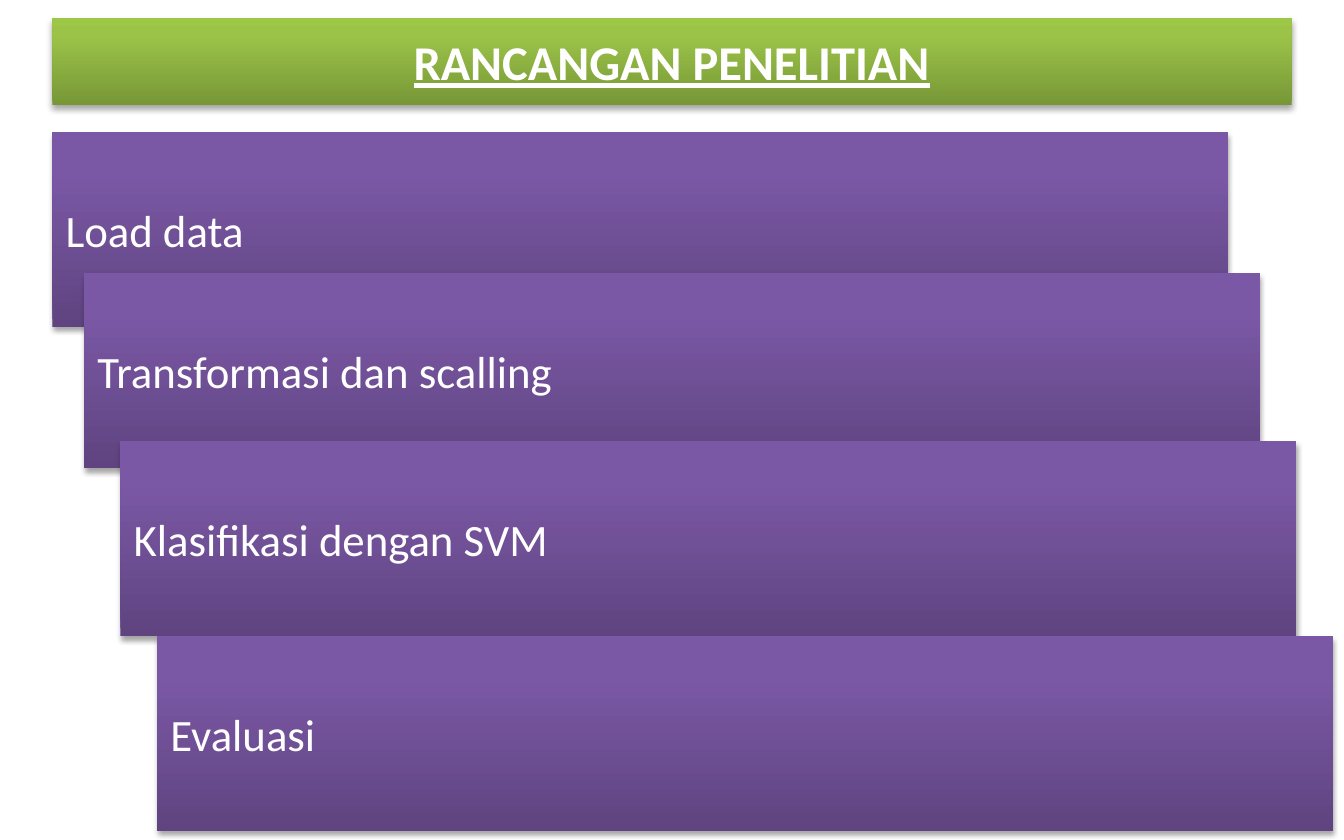
from lxml.etree import SubElement as Sub
from pptx import Presentation
from pptx.dml.color import RGBColor as Rgb
from pptx.enum.shapes import MSO_SHAPE as Kind
from pptx.enum.text import MSO_ANCHOR as Anchor, MSO_AUTO_SIZE as Fit, PP_ALIGN as Align
from pptx.oxml.ns import qn
from pptx.util import Pt

GREEN = [(0, "779737"), (80, "9BC348"), (100, "9DC746")]
PURPLE = [(0, "5F4480"), (80, "7B58A6"), (100, "7C57A8")]
STEPS = [
    ("Load data", 28, 70.6),
    ("Transformasi dan scalling", 45, 146.2),
    ("Klasifikasi dengan SVM", 64.5, 236.2),
    ("Evaluasi", 84.2, 340.6),
]


def tint(text):
    return Rgb.from_string(text)


def blend(shape, stops):
    fill = shape.fill
    fill.gradient()
    fill.gradient_angle = 90
    group = shape.element.spPr.find(".//" + qn("a:gsLst"))
    for old in list(group):
        group.remove(old)
    for place, tone in stops:
        stop = Sub(group, qn("a:gs"), pos=str(place * 1000))
        Sub(stop, qn("a:srgbClr"), val=str(tint(tone)))


def shade(shape):
    shape.shadow.inherit = False
    list_ = shape.element.spPr.find(qn("a:effectLst"))
    drop = Sub(list_, qn("a:outerShdw"), blurRad=str(Pt(3.1)), dist=str(Pt(1.8)),
               dir="5400000", rotWithShape="0")
    tone = Sub(drop, qn("a:srgbClr"), val="000000")
    Sub(tone, qn("a:alpha"), val="35000")


def write(shape, text, size, align, bold=False):
    frame = shape.text_frame
    frame.word_wrap = True
    frame.auto_size = Fit.NONE
    frame.vertical_anchor = Anchor.MIDDLE
    line = frame.paragraphs[0]
    line.alignment = align
    run = line.add_run()
    run.text = text
    font = run.font
    font.name = "Calibri"
    font.size = Pt(size)
    font.bold = font.underline = bold
    font.color.rgb = tint("FFFFFF")


def style(shape, stops):
    blend(shape, stops)
    shape.line.fill.background()
    shade(shape)


def add_title(slide, left, top, width, height):
    title = slide.shapes.title
    title.left, title.top = Pt(left), Pt(top)
    title.width, title.height = Pt(width), Pt(height)
    style(title, GREEN)
    write(title, "RANCANGAN PENELITIAN", 26, Align.CENTER, True)


def add_step(slide, text, left, top, width, height):
    step = slide.shapes.add_shape(Kind.RECTANGLE, Pt(left), Pt(top), Pt(width), Pt(height))
    style(step, PURPLE)
    write(step, text, 24, Align.JUSTIFY)


def main():
    deck = Presentation()
    deck.slide_width, deck.slide_height = Pt(720), Pt(450)
    slide = deck.slides.add_slide(deck.slide_layouts[5])
    add_title(slide, 28, 9.5, 664, 46.8)
    for text, left, top in STEPS:
        add_step(slide, text, left, top, 630, 104.5)
    deck.save("out.pptx")


if __name__ == "__main__":
    main()
